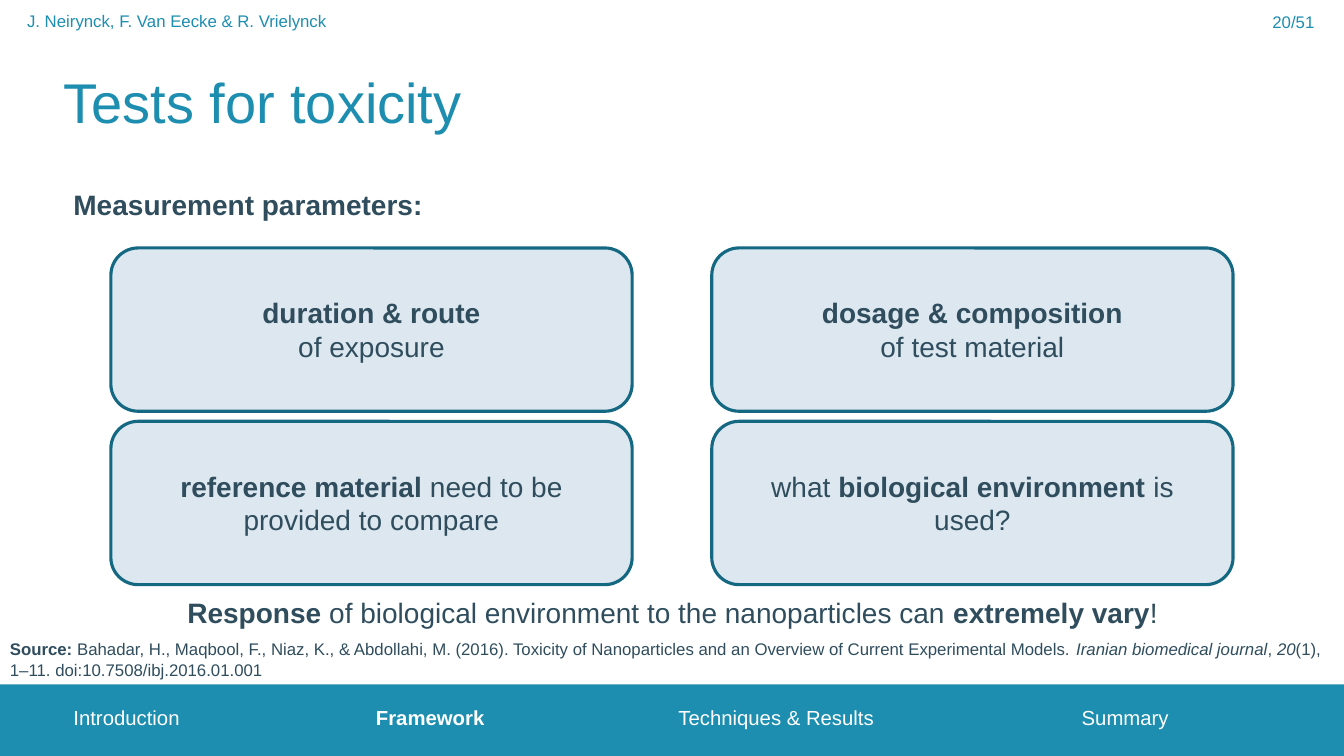
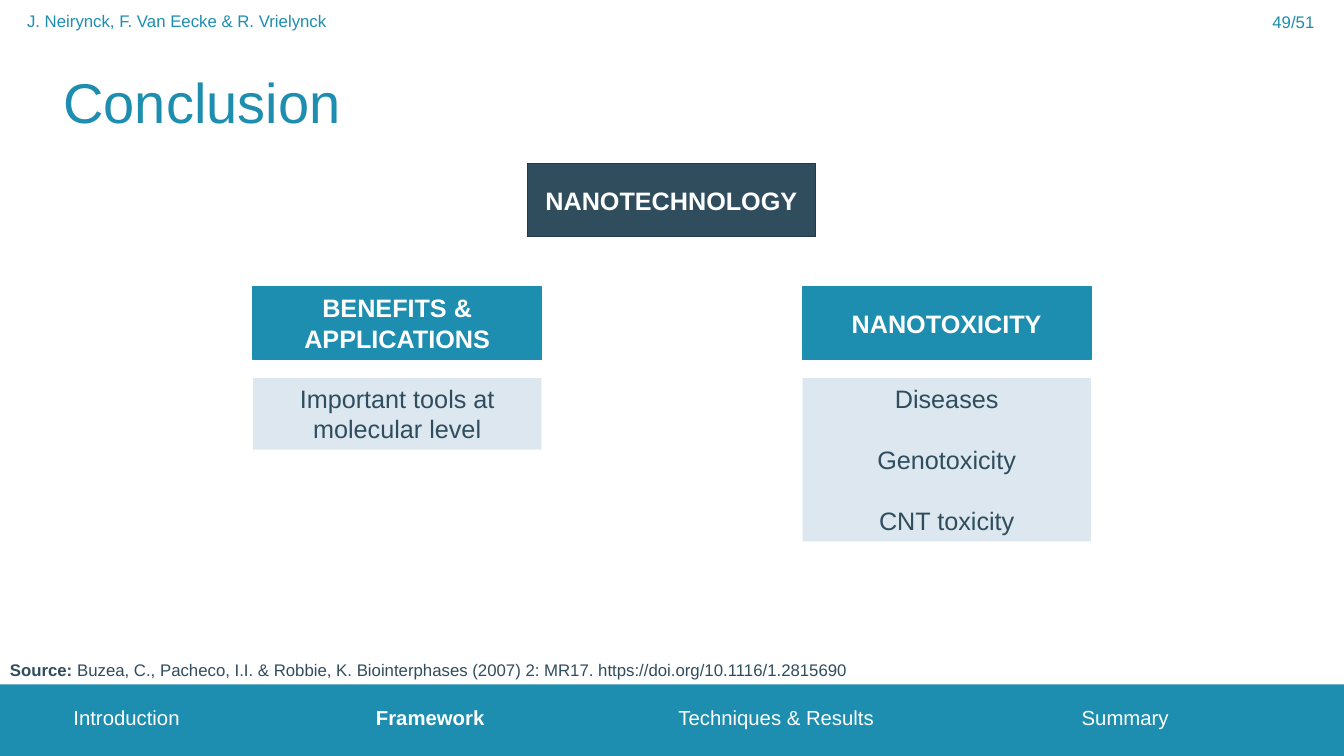
from dataclasses import dataclass
from typing import NamedTuple

from lxml.etree import SubElement
from pptx import Presentation
from pptx.dml.color import RGBColor
from pptx.enum.shapes import MSO_SHAPE
from pptx.enum.text import MSO_ANCHOR, PP_ALIGN
from pptx.oxml.ns import qn
from pptx.util import Inches, Pt

COLORS = {
    "background": "FFFFFF",
    "white": "FFFFFF",
    "teal": "1D8DB0",
    "deep_teal": "156882",
    "slate": "2F4D5D",
    "dark_slate": "233945",
    "pale": "DCE7F0",
}
FONT = "Arial"
SLIDE_WIDTH, SLIDE_HEIGHT = 13.33, 7.5
BAND_TOP = 6.79
SOURCE_HEIGHT = 0.5
AUTHORS = "J. Neirynck, F. Van Eecke & R. Vrielynck"
PAGE_COUNT = 51
SECTIONS = ("Introduction", "Framework", "Techniques & Results", "Summary")
SECTION_TABS = (3, 6, 10)


class Span(NamedTuple):
    text: str
    bold: bool = False
    italic: bool = False


class Area(NamedTuple):
    left: float
    top: float
    width: float
    height: float


Lines = list[list[Span]]


@dataclass(frozen=True)
class TextStyle:
    size: float
    color: str = "slate"
    align: PP_ALIGN = PP_ALIGN.LEFT
    anchor: MSO_ANCHOR = MSO_ANCHOR.TOP
    inset: bool = True
    gap: float = 0


@dataclass(frozen=True)
class BoxStyle:
    fill: str
    text: TextStyle
    line: str | None = None
    line_width: float = 1
    preset: MSO_SHAPE = MSO_SHAPE.RECTANGLE


def centred(size: float, color: str = "slate", gap: float = 0) -> TextStyle:
    return TextStyle(size, color, PP_ALIGN.CENTER, MSO_ANCHOR.MIDDLE, gap=gap)


TITLE = TextStyle(40, "teal", anchor=MSO_ANCHOR.MIDDLE, inset=False)
PAGE_NUMBER = TextStyle(12, "teal", anchor=MSO_ANCHOR.MIDDLE, inset=False)
HEADER = TextStyle(12, "teal")
NAVIGATION = TextStyle(14.5, "white")
SOURCE = TextStyle(12, anchor=MSO_ANCHOR.BOTTOM)
BODY = TextStyle(20)
STATEMENT = TextStyle(20, align=PP_ALIGN.CENTER)

BAND = BoxStyle("teal", centred(12))
CARD = BoxStyle("pale", centred(20), "deep_teal", 2.25, MSO_SHAPE.ROUNDED_RECTANGLE)
ROOT = BoxStyle("slate", centred(18, "white"), "dark_slate")
TOPIC = BoxStyle("teal", centred(18, "white"), "teal")
DETAIL = BoxStyle("pale", centred(18, gap=22))


def color(name: str) -> RGBColor:
    return RGBColor.from_string(COLORS[name])


def inches(area: Area) -> list[Inches]:
    return [Inches(value) for value in area]


def write(shape, lines: Lines, style: TextStyle) -> None:
    text_frame = shape.text_frame
    text_frame.word_wrap = True
    text_frame.vertical_anchor = style.anchor
    if not style.inset:
        text_frame.margin_left = text_frame.margin_right = 0
        text_frame.margin_top = text_frame.margin_bottom = 0
    for index, spans in enumerate(lines):
        paragraph = text_frame.add_paragraph() if index else text_frame.paragraphs[0]
        paragraph.alignment = style.align
        if index and style.gap:
            paragraph.space_before = Pt(style.gap)
        for span in spans:
            run = paragraph.add_run()
            run.text = span.text
            run.font.name = FONT
            run.font.size = Pt(style.size)
            run.font.bold = span.bold
            run.font.italic = span.italic
            run.font.color.rgb = color(style.color)


def add_text(slide, area: Area, lines: Lines, style: TextStyle):
    shape = slide.shapes.add_textbox(*inches(area))
    write(shape, lines, style)
    return shape


def add_box(slide, area: Area, style: BoxStyle, lines: Lines) -> None:
    shape = slide.shapes.add_shape(style.preset, *inches(area))
    shape.shadow.inherit = False
    shape.fill.solid()
    shape.fill.fore_color.rgb = color(style.fill)
    if style.line:
        shape.line.color.rgb = color(style.line)
        shape.line.width = Pt(style.line_width)
    else:
        shape.line.fill.background()
    write(shape, lines, style.text)


def add_navigation(slide, current: str) -> None:
    spans = [
        Span(("\t" if index else "") + section, section == current)
        for index, section in enumerate(SECTIONS)
    ]
    shape = add_text(slide, Area(0.63, 6.95, 11.92, 0.35), [spans], NAVIGATION)
    properties = shape.text_frame.paragraphs[0]._p.get_or_add_pPr()
    tab_list = SubElement(properties, qn("a:tabLst"))
    for position in SECTION_TABS:
        SubElement(tab_list, qn("a:tab"), pos=str(Inches(position)), algn="l")


def add_slide(presentation, title: str, page: int, source: list[Span]):
    slide = presentation.slides.add_slide(presentation.slide_layouts[6])
    slide.background.fill.solid()
    slide.background.fill.fore_color.rgb = color("background")
    band = Area(0, BAND_TOP, SLIDE_WIDTH, SLIDE_HEIGHT - BAND_TOP)
    add_box(slide, band, BAND, [])
    page_label = [[Span(f"{page}/{PAGE_COUNT}")]]
    add_text(slide, Area(12.62, -0.14, 0.71, 0.71), page_label, PAGE_NUMBER)
    add_text(slide, Area(0.63, 0.37, 12.07, 1.26), [[Span(title)]], TITLE)
    add_text(slide, Area(0.17, 0.06, 6.38, 0.3), [[Span(AUTHORS)]], HEADER)
    add_navigation(slide, "Framework")
    source_area = Area(0, BAND_TOP - SOURCE_HEIGHT, SLIDE_WIDTH, SOURCE_HEIGHT)
    add_text(slide, source_area, [[Span("Source: ", bold=True), *source]], SOURCE)
    return slide


def build_toxicity_tests(presentation) -> None:
    source = [
        Span(
            "Bahadar, H., Maqbool, F., Niaz, K., & Abdollahi, M. (2016). Toxicity of "
            "Nanoparticles and an Overview of Current Experimental Models. "
        ),
        Span("Iranian biomedical journal", italic=True),
        Span(", "),
        Span("20", italic=True),
        Span("(1), 1–11. doi:10.7508/ibj.2016.01.001"),
    ]
    slide = add_slide(presentation, "Tests for toxicity", 20, source)
    heading = [[Span("Measurement parameters:", bold=True)]]
    add_text(slide, Area(0.63, 1.81, 12.07, 0.45), heading, BODY)
    parameters = [
        [[Span("duration & route", bold=True)], [Span("of exposure")]],
        [[Span("dosage & composition", bold=True)], [Span("of test material")]],
        [[Span("reference material ", bold=True), Span("need to be provided to compare")]],
        [[Span("what "), Span("biological environment ", bold=True), Span("is used?")]],
    ]
    for index, lines in enumerate(parameters):
        row, column = divmod(index, 2)
        area = Area(1.1 + 5.96 * column, 2.46 + 1.72 * row, 5.17, 1.62)
        add_box(slide, area, CARD, lines)
    statement = [
        Span("Response", bold=True),
        Span(" of biological environment to the nanoparticles can "),
        Span("extremely vary", bold=True),
        Span("!"),
    ]
    add_text(slide, Area(1.1, 5.86, 11.14, 0.43), [statement], STATEMENT)


def build_conclusion(presentation) -> None:
    source = [
        Span(
            "Buzea, C., Pacheco, I.I. & Robbie, K. Biointerphases (2007) 2: MR17. "
            "https://doi.org/10.1116/1.2815690"
        )
    ]
    slide = add_slide(presentation, "Conclusion", 49, source)
    width, height = 2.86, 0.73
    root = [[Span("NANOTECHNOLOGY", bold=True)]]
    add_box(slide, Area(5.23, 1.62, width, height), ROOT, root)
    topics = [
        (2.51, "BENEFITS & APPLICATIONS", 0.71, ["Important tools at molecular level"]),
        (7.96, "NANOTOXICITY", 1.62, ["Diseases", "Genotoxicity", "CNT toxicity"]),
    ]
    for left, topic, detail_height, details in topics:
        add_box(slide, Area(left, 2.84, width, height), TOPIC, [[Span(topic, bold=True)]])
        detail_area = Area(left, 3.75, width, detail_height)
        add_box(slide, detail_area, DETAIL, [[Span(detail)] for detail in details])


def main() -> None:
    presentation = Presentation()
    presentation.slide_width = Inches(SLIDE_WIDTH)
    presentation.slide_height = Inches(SLIDE_HEIGHT)
    build_toxicity_tests(presentation)
    build_conclusion(presentation)
    presentation.save("out.pptx")


if __name__ == "__main__":
    main()
